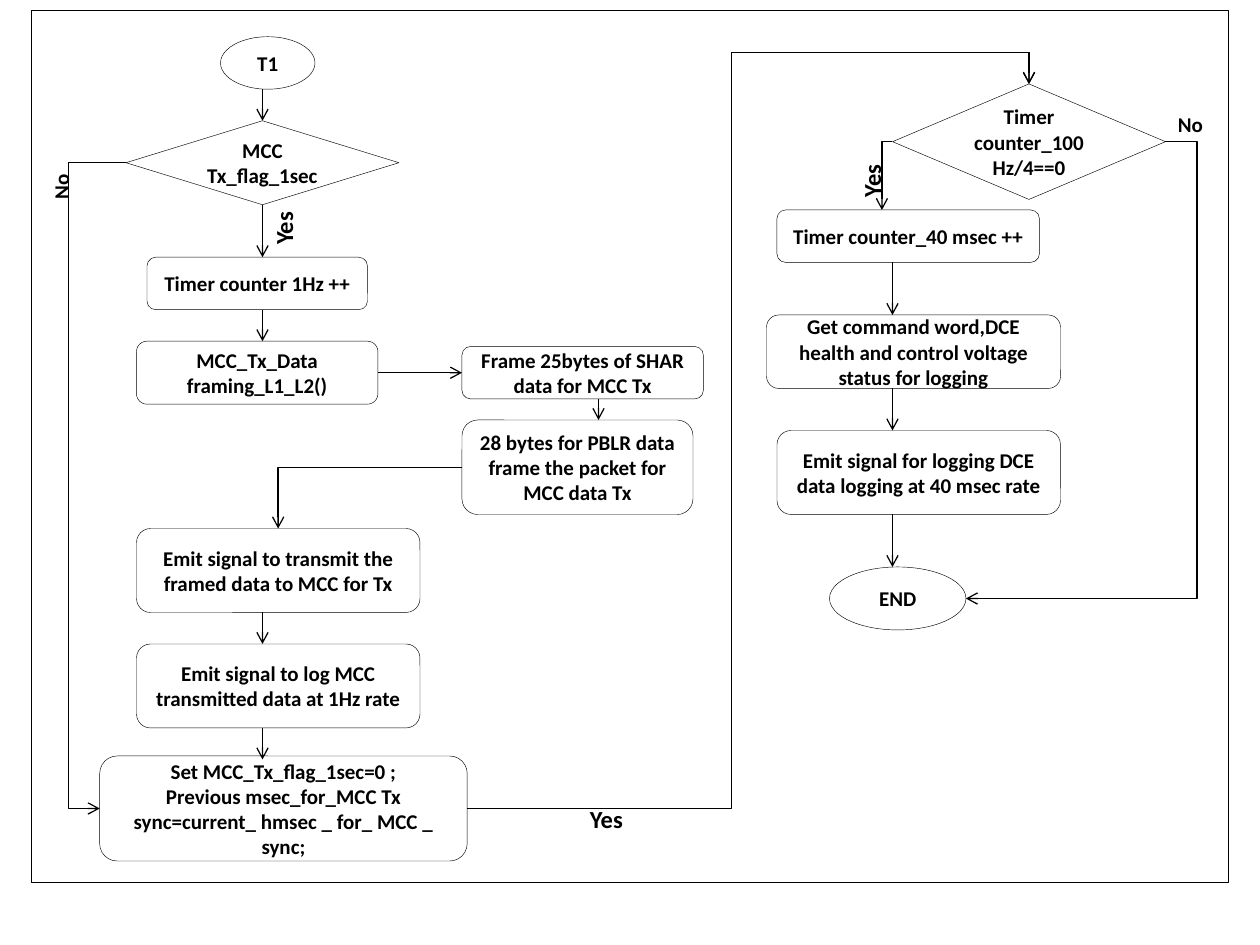
from dataclasses import dataclass
from lxml.etree import SubElement
from pptx import Presentation
from pptx.dml.color import RGBColor
from pptx.enum.shapes import MSO_CONNECTOR, MSO_SHAPE
from pptx.enum.text import MSO_ANCHOR, PP_ALIGN
from pptx.oxml.ns import qn
from pptx.util import Pt


@dataclass
class Theme:
    font: str = "Calibri"
    ink: RGBColor = RGBColor(0, 0, 0)
    small: float = 12
    large: float = 14
    thin: float = 0.26
    thick: float = 0.74


class Flow:
    def __init__(self, slide, theme):
        self.slide, self.theme = slide, theme

    def style(self, frame, size, align):
        for para in frame.paragraphs:
            para.alignment = align
            for run in para.runs:
                font = run.font
                font.name, font.size, font.bold = self.theme.font, Pt(size), True
                font.color.rgb = self.theme.ink

    def node(self, kind, x, y, w, h, text=""):
        shape = self.slide.shapes.add_shape(kind, Pt(x), Pt(y), Pt(w), Pt(h))
        shape.shadow.inherit = False
        shape.fill.background()
        shape.line.color.rgb = self.theme.ink
        shape.line.width = Pt(self.theme.thin)
        if text:
            frame = shape.text_frame
            frame.text = text
            frame.word_wrap = True
            frame.vertical_anchor = MSO_ANCHOR.MIDDLE
            self.style(frame, self.theme.small, PP_ALIGN.CENTER)

    def label(self, text, x, y, w, h, size, turn=0):
        box = self.slide.shapes.add_textbox(Pt(x), Pt(y), Pt(w), Pt(h))
        box.rotation = turn
        box.text_frame.text = text
        box.text_frame.word_wrap = False
        self.style(box.text_frame, size, PP_ALIGN.LEFT)

    def arrow(self, start, end, bends=0, mid=()):
        """Bends counts the corners; mid holds the x, then y, of inner legs."""
        kind = MSO_CONNECTOR.ELBOW if bends else MSO_CONNECTOR.STRAIGHT
        link = self.slide.shapes.add_connector(kind, *map(Pt, start + end))
        link.line.color.rgb = self.theme.ink
        link.line.width = Pt(self.theme.thick)
        props = link._element.spPr
        SubElement(props.find(qn("a:ln")), qn("a:tailEnd"), type="arrow")
        SubElement(props, qn("a:effectLst"))
        if bends:
            geom = props.find(qn("a:prstGeom"))
            geom.set("prst", f"bentConnector{bends + 1}")
            guides = geom.find(qn("a:avLst"))
            if guides is None:
                guides = SubElement(geom, qn("a:avLst"))
            for num, (leg, a, b) in enumerate(zip(mid, start, end), 1):
                ratio = round((leg - a) / (b - a) * 100000)
                name = f"adj{num}" if bends > 2 else "adj1"
                SubElement(guides, qn("a:gd"), name=name, fmla=f"val {ratio}")


deck = Presentation()
deck.slide_width, deck.slide_height = Pt(720), Pt(540)
theme = Theme()
flow = Flow(deck.slides.add_slide(deck.slide_layouts[6]), theme)

# Frame
flow.node(MSO_SHAPE.RECTANGLE, 18, 6, 684, 498)

# Start, end and decisions
flow.node(MSO_SHAPE.OVAL, 126, 21, 54, 30, "T1")
flow.node(MSO_SHAPE.OVAL, 474, 324, 78, 36, "END")
test = MSO_SHAPE.FLOWCHART_DECISION
flow.node(test, 72, 69, 156, 48, "MCC Tx_flag_1sec")
flow.node(test, 510, 48, 156, 66, "Timer counter_100Hz/4==0")

# Steps
steps = [
    (84, 147, 126, 30, "Timer counter 1Hz ++"),
    (78, 195, 138, 36, "MCC_Tx_Data framing_L1_L2()"),
    (264, 198, 138, 30, "Frame 25bytes of SHAR data for MCC Tx"),
    (264, 240, 132, 54, "28 bytes for PBLR data frame the packet for MCC data Tx"),
    (78, 302, 162, 48, "Emit signal to transmit the framed data to MCC for Tx"),
    (78, 368, 162, 48, "Emit signal to log MCC transmitted data at 1Hz rate"),
    (57, 432, 210, 60, "Set MCC_Tx_flag_1sec=0 ;\n"
     "Previous msec_for_MCC Tx sync=current_ hmsec _ for_ MCC _ sync;"),
    (444, 120, 150, 30, "Timer counter_40 msec ++"),
    (438, 180, 168, 42,
     "Get command word,DCE health and control voltage status for logging"),
    (444, 246, 162, 48,
     "Emit signal for logging DCE data logging at 40 msec rate"),
]
for step in steps:
    flow.node(MSO_SHAPE.ROUNDED_RECTANGLE, *step)

# Straight arrows: column x, then top and bottom of each
drops = {
    150: [(51, 69), (117, 147), (177, 195), (350, 368), (416, 434)],
    342: [(228, 240)],
    510: [(150, 180), (222, 246), (294, 324)],
    588: [(30, 48)],
}
for x, spans in drops.items():
    for top, base in spans:
        flow.arrow((x, top), (x, base))
flow.arrow((216, 213), (264, 213))

# Bent arrows
flow.arrow((264, 267), (159, 302), 1)
flow.arrow((510, 81), (504, 120), 1)
flow.arrow((72, 93), (57, 462), 2, (39,))
flow.arrow((666, 81), (552, 342), 2, (684,))
flow.arrow((267, 462), (588, 48), 3, (418, 30))

# Branch labels
for x, y, turn in [(144, 117, 270), (480, 90, 270), (330, 456, 0)]:
    flow.label("Yes", x, y, 36, 24, theme.large, turn)
for x, y, turn in [(20, 95, 270), (666, 60, 0)]:
    flow.label("No", x, y, 30, 22, theme.small, turn)

deck.save("out.pptx")
